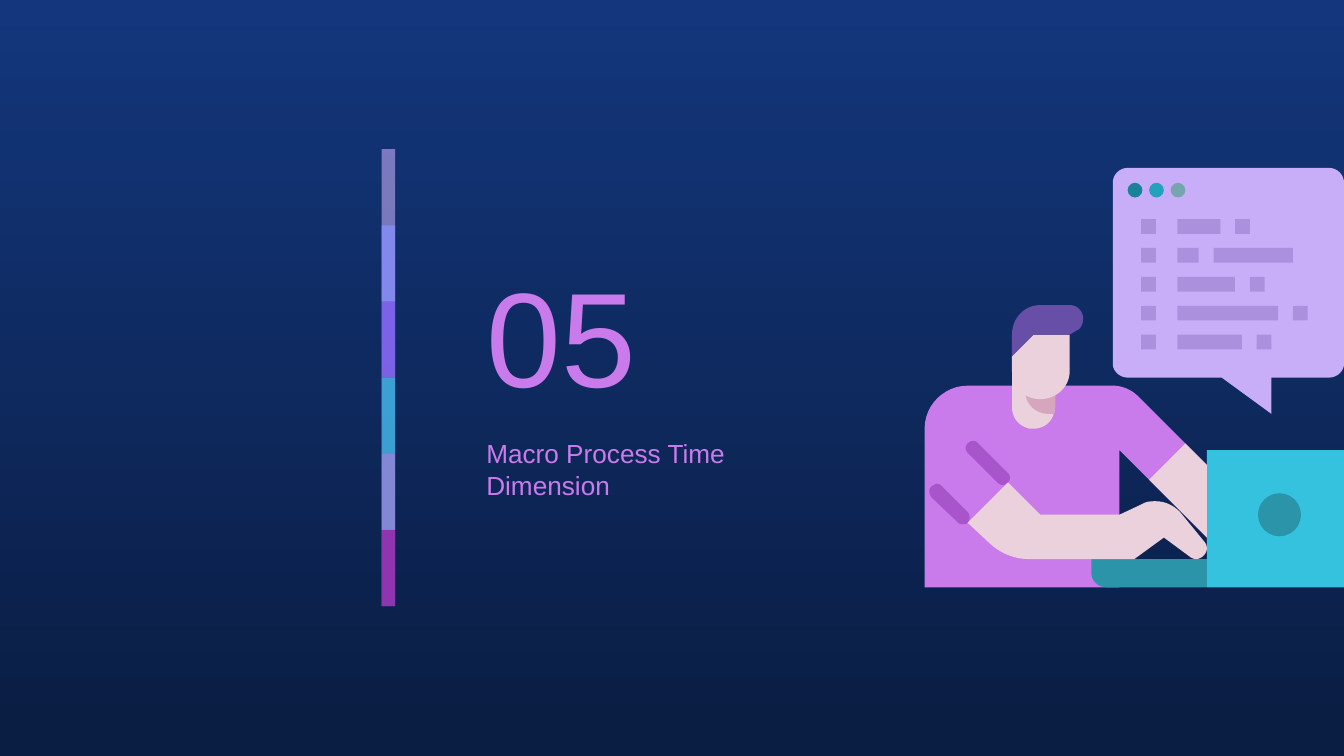
from lxml import etree
from pptx import Presentation
from pptx.dml.color import RGBColor
from pptx.enum import shapes as kinds, text as txt
from pptx.oxml.ns import qn
from pptx.util import Inches, Pt

COLORS = {
    "sky": "13367C", "night": "0A1D42", "orchid": "CA7BEB", "fold": "A855CB",
    "lilac": "C8AEF8", "code": "AB90DE", "skin": "EAD1DC", "shade": "D5A6BD",
    "hair": "674EA7", "cyan": "35C2DF", "teal": "2B94A9", "deep_teal": "198298",
    "mid_teal": "22A2BC", "gray_teal": "76A5AF", "periwinkle": "878FFF",
    "violet": "9154F8", "plum": "972CB4",
}
RECT, OVAL = kinds.MSO_SHAPE.RECTANGLE, kinds.MSO_SHAPE.OVAL

prs = Presentation()
prs.slide_width = Inches(10)
prs.slide_height = Inches(10) * 9 // 16
slide = prs.slides.add_slide(prs.slide_layouts[6])

backdrop = slide.background.fill
backdrop.gradient()
backdrop.gradient_angle = 270
for stop, color in zip(backdrop.gradient_stops, ("sky", "night")):
    stop.color.rgb = RGBColor.from_string(COLORS[color])


def add_filled(color, outline, box=None, alpha=100):
    """Add a preset shape in box, or a freeform when outline is a list.

    In a list, a pair is a corner and six numbers are a Bezier curve.
    """
    if box:
        shape = slide.shapes.add_shape(outline, *map(Inches, box))
    else:
        points = [outline[0]]
        for step in outline[1:]:
            if len(step) == 2:
                points.append(step)
                continue
            x0, y0 = points[-1]
            x1, y1, x2, y2, x3, y3 = step
            for t in (i / 12 for i in range(1, 13)):
                a, b, c, d = (1 - t) ** 3, 3 * t * (1 - t) ** 2, 3 * t * t * (1 - t), t ** 3
                points.append((a * x0 + b * x1 + c * x2 + d * x3,
                               a * y0 + b * y1 + c * y2 + d * y3))
        corners = [(Inches(x), Inches(y)) for x, y in points]
        builder = slide.shapes.build_freeform(*corners[0])
        builder.add_line_segments(corners[1:], close=True)
        shape = builder.convert_to_shape()
    shape.shadow.inherit = False
    shape.line.fill.background()
    shape.fill.solid()
    shape.fill.fore_color.rgb = RGBColor.from_string(COLORS[color])
    if alpha < 100:
        rgb = shape._element.spPr.find(qn("a:solidFill"))[0]
        etree.SubElement(rgb, qn("a:alpha")).set("val", str(alpha * 1000))


# Translucent strip: each band runs on beneath the next one
band_step = 3.4 / 6
bands = [("lilac", 58), ("periwinkle", 72), ("violet", 52),
         ("cyan", 74), ("orchid", 56), ("plum", 74)]
for i, (color, alpha) in enumerate(bands):
    height = band_step * (1 if i == len(bands) - 1 else 2)
    add_filled(color, RECT, (2.84, 1.11 + i * band_step, 0.1, height), alpha)

# Section number and title
for words, size, spacing, box in [
    ("05", 72, 1.0, (3.52, 1.81, 1.75, 1.35)),
    ("Macro Process Time Dimension", 14, 1.05, (3.52, 3.15, 2.87, 0.67)),
]:
    frame = slide.shapes.add_textbox(*map(Inches, box)).text_frame
    frame.word_wrap = True
    frame.vertical_anchor = txt.MSO_ANCHOR.MIDDLE
    frame.margin_left = frame.margin_right = Inches(0.1)
    frame.margin_top = frame.margin_bottom = Inches(0.1)
    frame.text = words
    frame.paragraphs[0].line_spacing = spacing
    font = frame.paragraphs[0].runs[0].font
    font.name, font.size = "Arial", Pt(size)
    font.color.rgb = RGBColor.from_string(COLORS["orchid"])

# Shirt and sleeve folds
add_filled("orchid", [
    (7.2, 2.87), (7.03, 2.87, 6.88, 3.01, 6.88, 3.19), (6.88, 4.37), (8.33, 4.37),
    (8.33, 3.35), (8.98, 4), (8.98, 3.46), (8.47, 2.95),
    (8.42, 2.9, 8.35, 2.87, 8.28, 2.87)])
add_filled("fold", [
    (6.97, 3.6), (6.96, 3.6, 6.95, 3.61, 6.93, 3.62), (6.91, 3.64, 6.91, 3.67, 6.93, 3.7),
    (7.13, 3.89), (7.14, 3.9, 7.15, 3.9, 7.17, 3.9), (7.18, 3.9, 7.19, 3.9, 7.2, 3.89),
    (7.22, 3.87, 7.22, 3.83, 7.2, 3.81), (7.01, 3.62), (7, 3.61, 6.99, 3.6, 6.97, 3.6)])
add_filled("fold", [
    (7.24, 3.28), (7.23, 3.28, 7.21, 3.29, 7.2, 3.3), (7.18, 3.32, 7.18, 3.35, 7.2, 3.37),
    (7.42, 3.59), (7.43, 3.6, 7.45, 3.61, 7.46, 3.61), (7.48, 3.61, 7.49, 3.6, 7.5, 3.59),
    (7.52, 3.57, 7.52, 3.54, 7.5, 3.52), (7.28, 3.3), (7.27, 3.29, 7.26, 3.28, 7.24, 3.28)])

# Laptop lid and base
add_filled("cyan", RECT, (8.98, 3.35, 1.02, 1.02))
add_filled("teal", [(8.12, 4.16), (8.12, 4.26), (8.12, 4.32, 8.17, 4.37, 8.23, 4.37),
                    (8.98, 4.37), (8.98, 4.16)])

# Neck, its shadow and both arms
add_filled("skin", [
    (7.53, 2.71), (7.53, 3.03), (7.53, 3.11, 7.58, 3.17, 7.66, 3.19),
    (7.67, 3.19, 7.68, 3.19, 7.69, 3.19), (7.76, 3.19, 7.82, 3.15, 7.84, 3.08),
    (7.85, 3.06, 7.85, 3.05, 7.85, 3.03), (7.85, 2.71)])
add_filled("shade", [
    (7.63, 2.71), (7.63, 2.92), (7.63, 3.01, 7.71, 3.08, 7.8, 3.08), (7.84, 3.08),
    (7.85, 3.06, 7.85, 3.05, 7.85, 3.03), (7.85, 2.71)])
add_filled("skin", [
    (7.5, 3.59), (7.2, 3.89), (7.35, 4.03), (7.43, 4.11, 7.54, 4.16, 7.65, 4.16),
    (8.44, 4.16), (8.66, 4), (8.85, 4.14), (8.86, 4.15, 8.88, 4.16, 8.9, 4.16),
    (8.94, 4.16, 8.98, 4.12, 8.98, 4.08), (8.98, 4.06, 8.97, 4.04, 8.96, 4.03),
    (8.78, 3.81), (8.73, 3.76, 8.67, 3.73, 8.6, 3.73), (8.57, 3.73, 8.53, 3.73, 8.5, 3.75),
    (8.33, 3.83), (7.74, 3.83)])
add_filled("skin", [(8.82, 3.3), (8.55, 3.57), (8.98, 4), (8.98, 3.46)])
add_filled("teal", OVAL, (9.36, 3.67, 0.32, 0.32))

# Speech bubble holding a code window
add_filled("lilac", [
    (8.39, 1.25), (8.33, 1.25, 8.28, 1.3, 8.28, 1.36), (8.28, 2.71),
    (8.28, 2.76, 8.33, 2.81, 8.39, 2.81), (9.09, 2.81), (9.46, 3.08), (9.46, 2.81),
    (9.89, 2.81), (9.95, 2.81, 10, 2.76, 10, 2.71), (10, 1.36),
    (10, 1.3, 9.95, 1.25, 9.89, 1.25)])
code_lines = [(0.32, 0.11), (0.16, 0.59), (0.43, 0.11), (0.75, 0.11), (0.48, 0.11)]
for row, (first, second) in enumerate(code_lines):
    top = 1.63 + row * 0.215
    for left, width in [(8.49, 0.11), (8.76, first), (8.87 + first, second)]:
        add_filled("code", RECT, (left, top, width, 0.11))

# Face and hair
add_filled("skin", [
    (7.69, 2.49), (7.53, 2.65), (7.53, 2.76), (7.53, 2.88, 7.62, 2.97, 7.74, 2.97),
    (7.86, 2.97, 7.96, 2.88, 7.96, 2.76), (7.96, 2.49)])
add_filled("hair", [
    (7.74, 2.27), (7.62, 2.27, 7.53, 2.37, 7.53, 2.49), (7.53, 2.65), (7.69, 2.49),
    (7.96, 2.49), (8.01, 2.46), (8.04, 2.45, 8.06, 2.41, 8.06, 2.37),
    (8.06, 2.32, 8.02, 2.27, 7.96, 2.27)])

# Window buttons
for i, color in enumerate(("deep_teal", "mid_teal", "gray_teal")):
    add_filled(color, OVAL, (8.39 + i * 0.16, 1.36, 0.11, 0.11))

prs.save("out.pptx")
